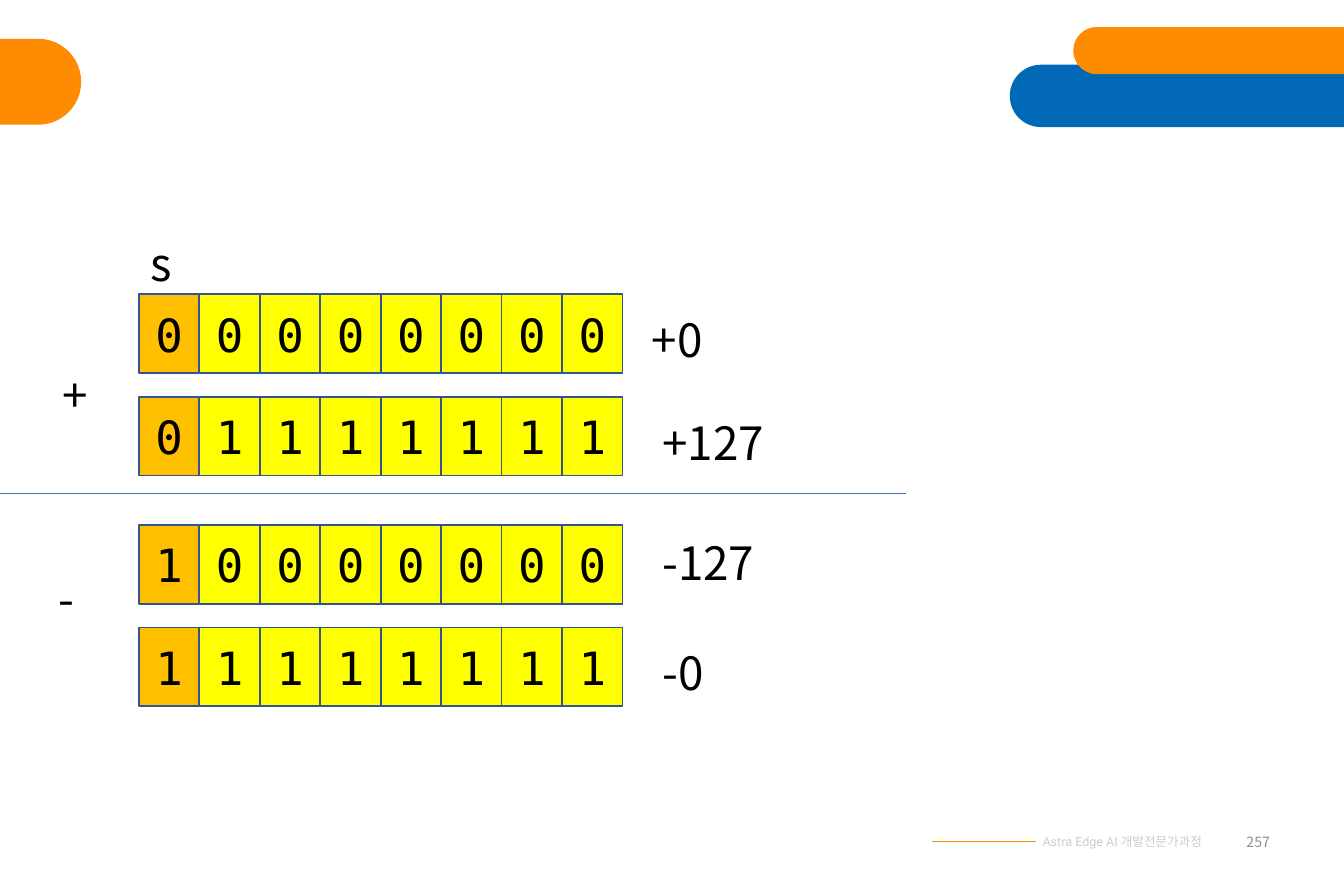
import pptx
import pptx.util
import pptx.dml.color
import pptx.enum.shapes
import pptx.enum.text
import pptx.oxml.ns
from lxml import etree

RGB = pptx.dml.color.RGBColor
ORANGE = RGB(0xFF, 0x8C, 0x00)
BLUE = RGB(0x00, 0x68, 0xB5)
SIGN_FILL = RGB(0xFF, 0xC0, 0x00)
BIT_FILL = RGB(0xFF, 0xFF, 0x00)
BIT_EDGE = RGB(0x32, 0x54, 0x91)
DIVIDER = RGB(0x44, 0x72, 0xC4)
BLACK = RGB(0x00, 0x00, 0x00)
FOOTER_GREY = RGB(0xCC, 0xCC, 0xCC)
NUMBER_GREY = RGB(0x8C, 0x8C, 0x8C)

SANS, MONO, FOOTER_FONT = "Noto Sans CJK KR", "DejaVu Sans Mono", "Roboto"
SHAPE = pptx.enum.shapes.MSO_SHAPE
ALIGN = pptx.enum.text.PP_ALIGN
ANCHOR = pptx.enum.text.MSO_ANCHOR
AUTO = pptx.enum.text.MSO_AUTO_SIZE
Inches, Pt = pptx.util.Inches, pptx.util.Pt

# Content; lengths in inches
SLIDE_W, SLIDE_H = 11.42, 7.5
PILLS = [
    ((-0.45, 0.33, 1.14, 0.73), ORANGE),
    ((8.58, 0.55, 3.25, 0.53), BLUE),
    ((9.12, 0.23, 3.15, 0.4), ORANGE),
]
BYTES = [["00000000", "01111111"], ["10000000", "11111111"]]  # positive, negative
LABELS = [
    ("+", 0.43, 3.07, 0.48),
    ("s", 1.18, 1.95, 0.37),
    ("+0", 5.44, 2.6, 0.69),
    ("+127", 5.53, 3.47, 1.12),
    ("-", 0.4, 4.8, 0.36),
    ("-127", 5.53, 4.49, 1.01),
    ("-0", 5.53, 5.43, 0.58),
]
LINES = [  # start, end, height, colour
    (7.92, 8.11, 7.15, ORANGE),
    (7.92, 8.8, 7.15, ORANGE),
    (-0.07, 7.7, 4.19, DIVIDER),
]
FOOTER = "Astra Edge AI 개발전문가과정"
PAGE_NUMBER = "257"

# Grid of bits
GRID_LEFT, GRID_TOP = 1.18, 2.5
BIT_W, BIT_H = 4.11 / 8, 0.67
ROW_STEP, GROUP_STEP = 0.87, 1.96
LABEL_H = 0.57


def add_run(tf, text, size, font, color, align=ALIGN.LEFT):
    p = tf.paragraphs[0]
    p.alignment = align
    r = p.add_run()
    r.text = text
    r.font.size = Pt(size)
    r.font.name = font
    r.font.color.rgb = color
    ea = etree.SubElement(r.font._element, pptx.oxml.ns.qn("a:ea"))
    ea.set("typeface", SANS)


def add_shape(s, kind, box, fill):
    sp = s.shapes.add_shape(kind, *map(Inches, box))
    sp.shadow.inherit = False
    sp.fill.solid()
    sp.fill.fore_color.rgb = fill
    return sp


def add_pill(s, box, fill):
    sp = add_shape(s, SHAPE.ROUNDED_RECTANGLE, box, fill)
    sp.adjustments[0] = 0.5
    sp.line.fill.background()


def add_bit(s, box, digit, fill):
    sp = add_shape(s, SHAPE.RECTANGLE, box, fill)
    sp.line.color.rgb = BIT_EDGE
    sp.line.width = Pt(1)
    tf = sp.text_frame
    tf.margin_left = tf.margin_right = Inches(0.04)
    tf.margin_top = tf.margin_bottom = Inches(0.05)
    tf.vertical_anchor = ANCHOR.MIDDLE
    add_run(tf, digit, 28, MONO, BLACK, ALIGN.CENTER)


def add_text(s, box, wrap, auto_size, anchor=ANCHOR.TOP):
    tf = s.shapes.add_textbox(*map(Inches, box)).text_frame
    tf.word_wrap = wrap
    tf.auto_size = auto_size
    tf.vertical_anchor = anchor
    return tf


def add_line(s, start, end, y, color):
    cx = s.shapes.add_connector(pptx.enum.shapes.MSO_CONNECTOR.STRAIGHT,
                                *map(Inches, (start, y, end, y)))
    cx.line.color.rgb = color
    cx.line.width = Pt(0.5)
    etree.SubElement(cx._element.spPr, pptx.oxml.ns.qn("a:effectLst"))


def main():
    prs = pptx.Presentation()
    prs.slide_width, prs.slide_height = Inches(SLIDE_W), Inches(SLIDE_H)
    s = prs.slides.add_slide(prs.slide_layouts[6])

    for box, fill in PILLS:
        add_pill(s, box, fill)
    for start, end, y, color in LINES:
        add_line(s, start, end, y, color)

    tf = add_text(s, (7.81, 7.03, 2.5, 0.23), True, AUTO.SHAPE_TO_FIT_TEXT)
    add_run(tf, FOOTER, 7.7, FOOTER_FONT, FOOTER_GREY, ALIGN.RIGHT)
    tf = add_text(s, (10.26, 6.95, 0.63, 0.4), True, AUTO.NONE, ANCHOR.MIDDLE)
    add_run(tf, PAGE_NUMBER, 8.6, SANS, NUMBER_GREY, ALIGN.RIGHT)

    for group, rows in enumerate(BYTES):
        for row, bits in enumerate(rows):
            top = GRID_TOP + group * GROUP_STEP + row * ROW_STEP
            for col, digit in enumerate(bits):
                box = (GRID_LEFT + col * BIT_W, top, BIT_W, BIT_H)
                add_bit(s, box, digit, BIT_FILL if col else SIGN_FILL)

    for text, left, top, width in LABELS:
        tf = add_text(s, (left, top, width, LABEL_H), False, AUTO.SHAPE_TO_FIT_TEXT)
        add_run(tf, text, 28, SANS, BLACK)

    prs.save("out.pptx")


if __name__ == "__main__":
    main()
